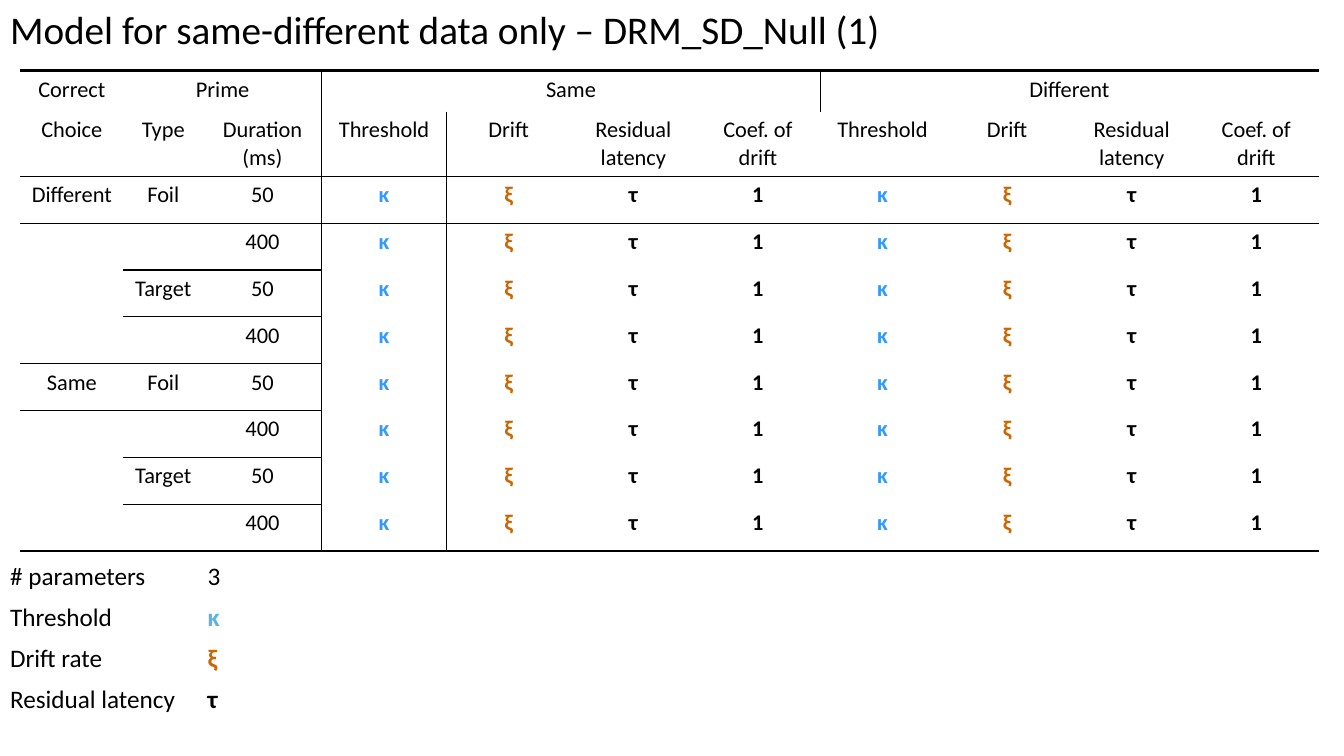
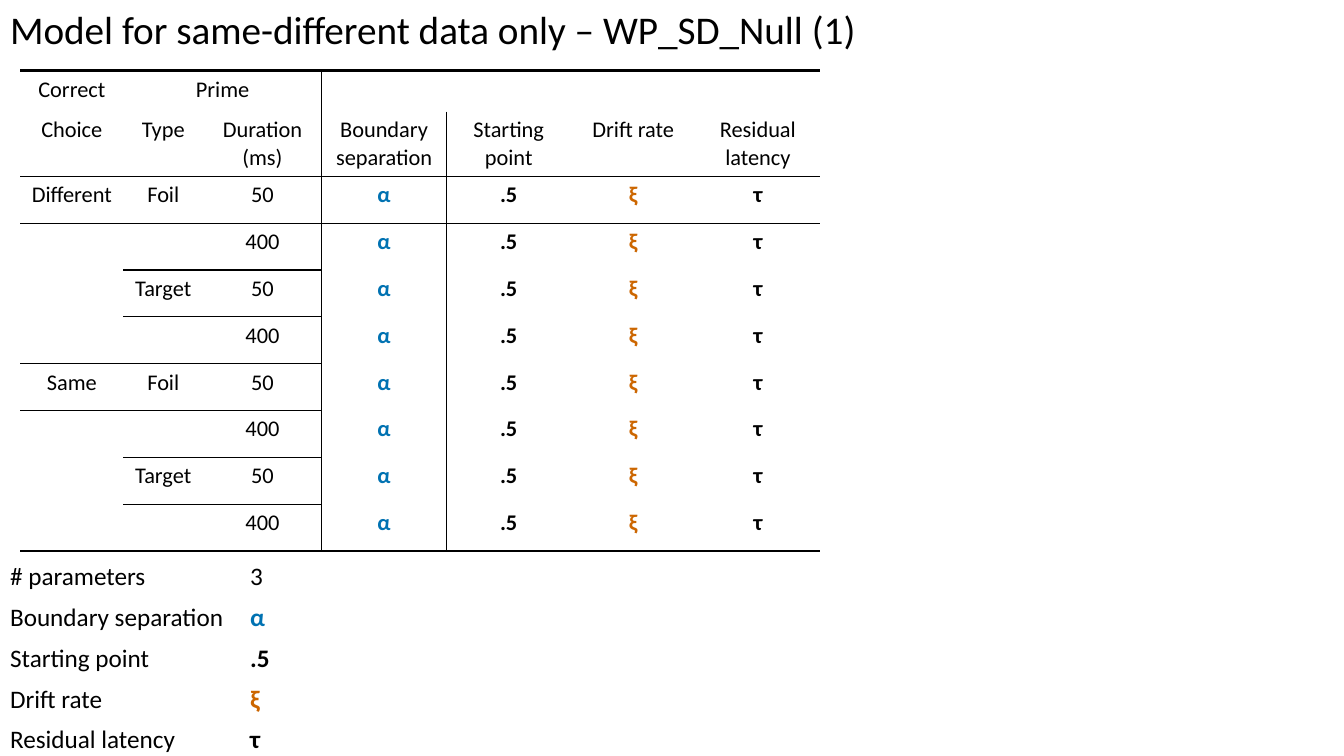
"""Build two slides of model parameter tables for same-different data."""
from itertools import product

from lxml.etree import SubElement as Sub
from pptx import Presentation
from pptx.dml.color import RGBColor as Rgb
from pptx.enum.text import MSO_ANCHOR as Anchor, MSO_AUTO_SIZE as Auto, PP_ALIGN as Align
from pptx.oxml.ns import qn
from pptx.util import Cm, Pt

INK = {"black": "000000", "blue": "3399FF", "sky": "56B4E9", "navy": "0072B2",
       "orange": "CC6600", "white": "FFFFFF"}
FONT = "Calibri"
PLAIN = "{2D5ABB26-0587-4C30-8999-92F81FD0307C}"

HEAD = ["Choice", "Type", "Duration (ms)"]
KEYS = [("Different", "Same"), ("Foil", "Target"), ("50", "400")]
STEPS = (4, 2, 1)
KEY_W = [2.6, 2.01, 2.99]
VAL_W = 3.14
HEAD_H = [1.03, 1.63]
ROW_H = 1.18
NOTE_H = 1.02

XI, TAU = ("ξ", "orange"), ("τ", "black")
SLIDES = [
    {"title": "Model for same-different data only – DRM_SD_Null (1)",
     "width": 22.5,
     "groups": ["Same", "Different"],
     "fields": [("Threshold", ("κ", "blue")), ("Drift", XI),
                ("Residual latency", TAU), ("Coef. of\ndrift", ("1", "black"))],
     "split": 4.98,
     "notes": [("Threshold", ("κ", "sky")), ("Drift rate", XI),
               ("Residual latency", TAU)]},
    {"title": "Model for same-different data only – WP_SD_Null (1)",
     "width": 22.07,
     "groups": [""],
     "fields": [("Boundary\nseparation", ("α", "navy")),
                ("Starting\npoint", (".5", "black")),
                ("Drift rate", XI), ("Residual\nlatency", TAU)],
     "split": 6.05,
     "notes": [("Boundary separation", ("α", "navy")),
               ("Starting point", (".5", "black")),
               ("Drift rate", XI), ("Residual latency", TAU)]},
]


def style(frame, size, ink="black", bold=False, align=Align.LEFT):
    """Format every paragraph of a text frame."""
    for para in frame.paragraphs:
        para.alignment = align
        for run in para.runs:
            for name, value in {"name": FONT, "size": Pt(size), "bold": bold}.items():
                setattr(run.font, name, value)
            run.font.color.rgb = Rgb.from_string(INK[ink])


def add_title(slide, text, width):
    """Place the title at the top left."""
    title = slide.shapes.title
    box = {"left": 0, "top": 0, "width": Cm(width), "height": Cm(1.45)}
    for name, value in box.items():
        setattr(title, name, value)
    frame = title.text_frame
    frame.text = text
    form = {"word_wrap": False, "auto_size": Auto.NONE, "vertical_anchor": Anchor.TOP}
    for name, value in form.items():
        setattr(frame, name, value)
    style(frame, 28)


def add_grid(slide, left, top, cols, rows):
    """Add an unstyled table with column widths and row heights in cm."""
    shape = slide.shapes.add_table(len(rows), len(cols), Cm(left), Cm(top),
                                   Cm(sum(cols)), Cm(sum(rows)))
    shape.element.find(".//" + qn("a:tableStyleId")).text = PLAIN
    grid = shape.table
    grid.first_row = grid.horz_banding = False
    for col, width in zip(grid.columns, cols):
        col.width = Cm(width)
    for row, height in zip(grid.rows, rows):
        row.height = Cm(height)
    return grid


def ruled(row, col, last):
    """Tell whether a line runs below this cell."""
    if row in (1, last):
        return True
    if row < 1 or col > 2:
        return False
    return (row - 1) % STEPS[col] == 0


def rule(cell, row, col, last):
    """Draw the borders of one cell."""
    sides = {"lnL": col == 3, "lnR": col == 2,
             "lnT": row == 0 or ruled(row - 1, col, last),
             "lnB": ruled(row, col, last)}
    props = cell._tc.get_or_add_tcPr()
    for tag, shown in sides.items():
        if shown:
            width = Pt(2.25 if tag == "lnT" and row == 0 else 1)
            line = Sub(props, qn("a:" + tag), w=str(width))
            fill = Sub(line, qn("a:solidFill"))
            Sub(fill, qn("a:srgbClr"), val=INK["black"])


def add_model(slide, groups, fields):
    """Add the table of conditions and parameters."""
    wide, start = len(fields), len(KEYS)
    names = [name for name, _ in fields] * len(groups)
    marks = [mark for _, mark in fields] * len(groups)
    top = ["Correct", "Prime", ""]
    for group in groups:
        top += [group] + [""] * (wide - 1)
    lines = [[(text, "black") for text in top],
             [(text, "black") for text in HEAD + names]]
    for i, keys in enumerate(product(*KEYS)):
        shown = [key if i % step == 0 else "" for key, step in zip(keys, STEPS)]
        lines.append([(text, "black") for text in shown] + marks)
    grid = add_grid(slide, 0.51, 1.78, KEY_W + [VAL_W] * len(marks),
                    HEAD_H + [ROW_H] * (len(lines) - 2))
    for row, line in enumerate(lines):
        for col, (text, ink) in enumerate(line):
            cell = grid.cell(row, col)
            cell.text = text
            style(cell.text_frame, 16, ink, row > 1 and col >= start, Align.CENTER)
            rule(cell, row, col, len(lines) - 1)
            cell.fill.background()
    spans = [(1, 2)] + [(start + wide * i, start + wide * (i + 1) - 1)
                        for i in range(len(groups))]
    for first, end in spans:
        grid.cell(0, first).merge(grid.cell(0, end))


def add_notes(slide, split, notes):
    """Add the list of free parameters."""
    lines = [("# parameters", ("3", "black"))] + notes
    grid = add_grid(slide, 0, 14.02, [split, 33.57 - split], [NOTE_H] * len(lines))
    for row, (name, (mark, ink)) in enumerate(lines):
        for col, (text, tone) in enumerate([(name, "black"), (mark, ink)]):
            cell = grid.cell(row, col)
            cell.text = text
            style(cell.text_frame, 18, tone, row > 0 and col == 1)
            cell.fill.solid()
            cell.fill.fore_color.rgb = Rgb.from_string(INK["white"])


def main():
    """Build and save the deck."""
    deck = Presentation()
    deck.slide_width, deck.slide_height = Cm(33.87), Cm(19.05)
    for data in SLIDES:
        slide = deck.slides.add_slide(deck.slide_layouts[5])
        add_title(slide, data["title"], data["width"])
        add_model(slide, data["groups"], data["fields"])
        add_notes(slide, data["split"], data["notes"])
    deck.save("out.pptx")


if __name__ == "__main__":
    main()
